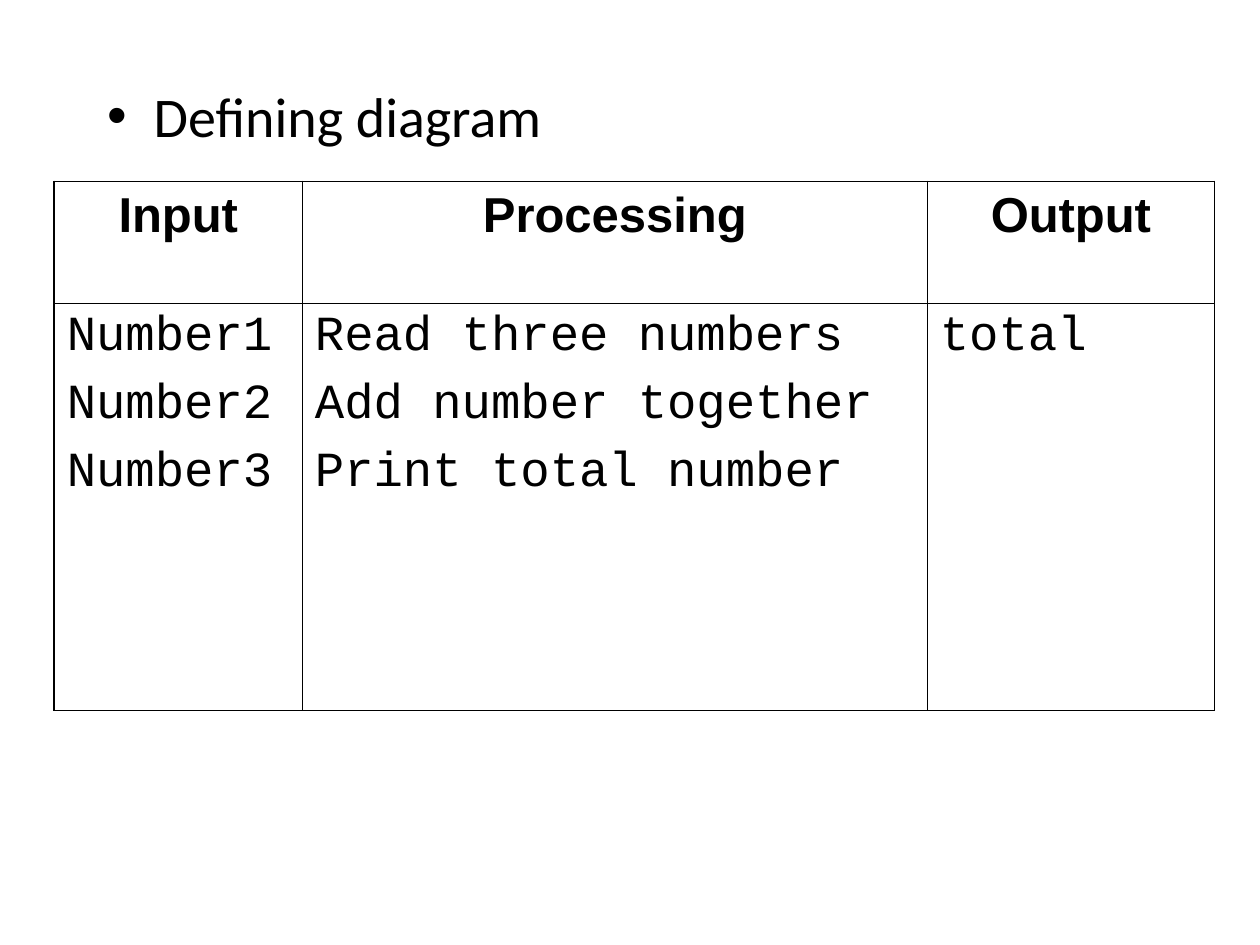
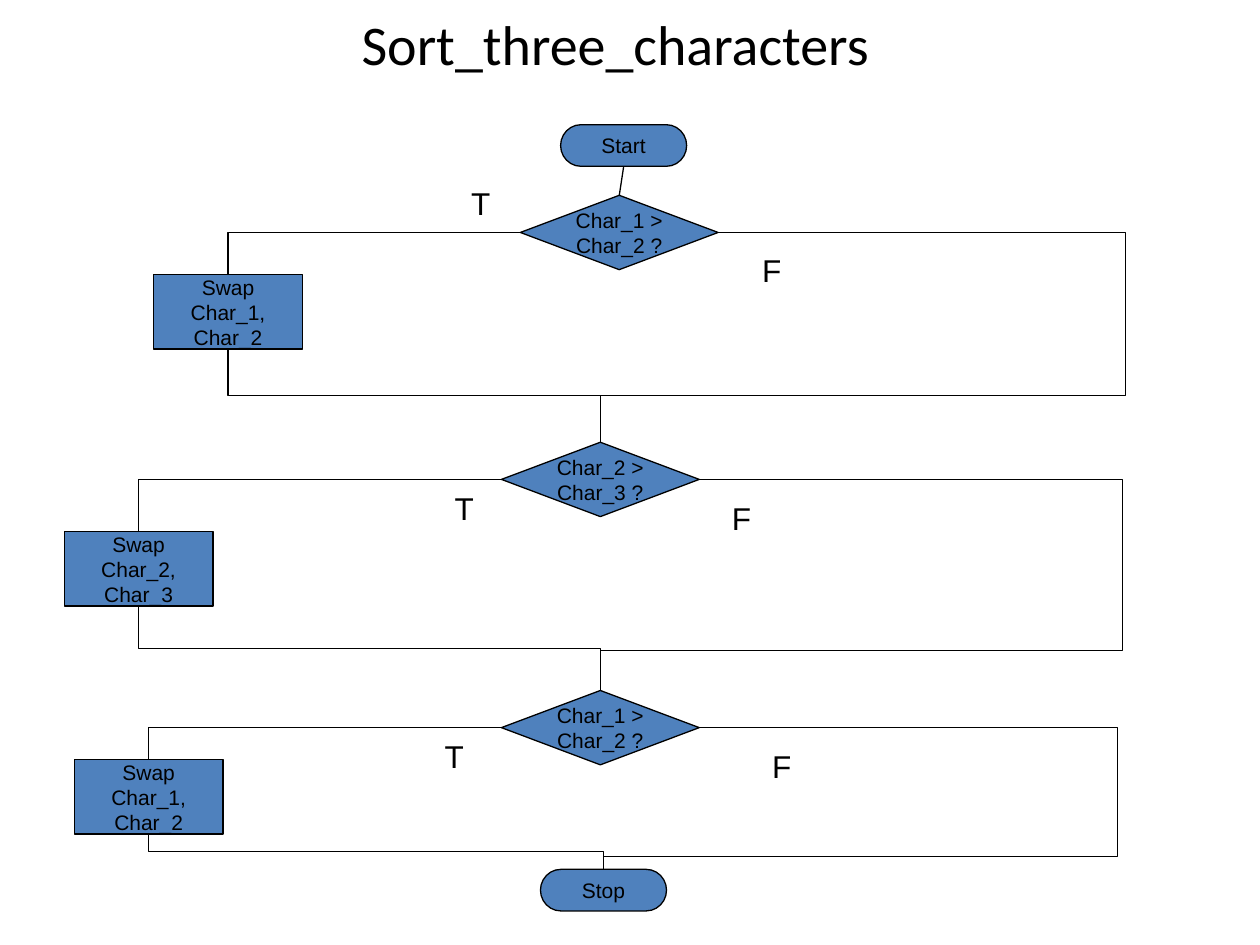
from pptx import Presentation
from pptx.dml.color import RGBColor
from pptx.enum.shapes import MSO_CONNECTOR as Link, MSO_SHAPE as Kind
from pptx.enum.text import MSO_ANCHOR as Anchor, MSO_AUTO_SIZE as Fit, PP_ALIGN as Align
from pptx.oxml.ns import qn
from pptx.util import Inches, Pt
from lxml.etree import SubElement as sub

BLACK, BLUE = "000000", "4F81BD"
HEAD = {"name": "Calibri", "size": Pt(32)}
COLHEAD = {"name": "Arial", "size": Pt(28), "bold": True}
CODE = {"name": "Courier New", "size": Pt(28), "bold": False}
NODE = {"name": "Arial", "size": Pt(12)}
MARK = {"name": "Arial", "size": Pt(18)}
INSET = {"margin_left": Inches(0.1), "margin_right": Inches(0.1),
         "margin_top": Inches(0.05), "margin_bottom": Inches(0.05)}
MIDDLE = {**INSET, "word_wrap": False, "vertical_anchor": Anchor.MIDDLE}

TOPIC = "Defining diagram"
COLS = [
    ("Input", 1.97, ["Number1", "Number2", "Number3"]),
    ("Processing", 4.96,
     ["Read three numbers", "Add number together", "Print total number"]),
    ("Output", 2.28, ["total"]),
]
ROWS = [0.97, 1.7, 0.96, 0.57]
THICK, THIN = 1.08, 0.45

TITLE = "Sort_three_characters"
START = ("Start", 4.45, 0.99)
STOP = ("Stop", 4.29, 6.9)
STEPS = [
    {"pair": ("Char_1", "Char_2"), "test": (4.13, 1.55), "swap": (1.22, 2.18),
     "lane": 8.93, "rise": 0.37, "T": (3.64, 1.41), "F": (5.95, 1.94)},
    {"pair": ("Char_2", "Char_3"), "test": (3.98, 3.51), "swap": (0.51, 4.22),
     "lane": 8.91, "rise": 0.32, "T": (3.51, 3.83), "F": (5.71, 3.91)},
    {"pair": ("Char_1", "Char_2"), "test": (3.98, 5.48), "swap": (0.59, 6.03),
     "lane": 8.87, "rise": 0.1, "T": (3.43, 5.8), "F": (6.03, 5.88)},
]


def rgb(code):
    return RGBColor.from_string(code)


def put(obj, vals):
    for key, val in vals.items():
        setattr(obj, key, val)


def place(shape, *box):
    put(shape, dict(zip(("left", "top", "width", "height"), map(Inches, box))))


def write(frame, lines, font, align=Align.LEFT, gap=0):
    for num, line in enumerate(lines):
        para = frame.add_paragraph() if num else frame.paragraphs[0]
        put(para, {"alignment": align, "space_before": Pt(gap if num else 0)})
        run = para.add_run()
        run.text = line
        put(run.font, font)
        run.font.color.rgb = rgb(BLACK)


def border(cell, widths):
    props = cell._tc.get_or_add_tcPr()
    for spot, (side, width) in enumerate(widths.items()):
        line = props.makeelement(qn("a:ln" + side), {"w": str(Pt(width))})
        props.insert(spot, line)
        if width:
            fill = sub(line, qn("a:solidFill"))
            sub(fill, qn("a:srgbClr"), val=BLACK)
        else:
            sub(line, qn("a:noFill"))


def chart(slide):
    wide = sum(col[1] for col in COLS)
    frame = slide.shapes.add_table(
        len(ROWS), len(COLS), Inches(0.43), Inches(1.44), Inches(wide), Inches(sum(ROWS)))
    table = frame.table
    put(table, {"first_row": False, "horz_banding": False})
    for row, high in zip(table.rows, ROWS):
        row.height = Inches(high)
    last, end = len(ROWS) - 1, len(COLS) - 1
    for c, (head, width, lines) in enumerate(COLS):
        table.columns[c].width = Inches(width)
        for r in range(len(ROWS)):
            cell = table.cell(r, c)
            put(cell, INSET)
            cell.fill.background()
            border(cell, {
                "L": THIN if c else THICK,
                "R": THIN if c < end else THICK,
                "T": (THICK, THIN, 0, 0)[r],
                "B": THIN if r == 0 else THICK if r == last or c == 0 else 0})
        write(table.cell(0, c).text_frame, [head], COLHEAD, Align.CENTER)
        write(table.cell(1, c).text_frame, lines, CODE, gap=7)
    table.cell(1, 0).merge(table.cell(last, 0))


def node(slide, kind, lines, spot, size):
    shape = slide.shapes.add_shape(kind, *map(Inches, (*spot, *size)))
    shape.shadow.inherit = False
    shape.fill.solid()
    shape.fill.fore_color.rgb = rgb(BLUE)
    put(shape.line, {"width": Pt(0.75)})
    shape.line.color.rgb = rgb(BLACK)
    put(shape.text_frame, MIDDLE)
    write(shape.text_frame, lines, NODE, Align.CENTER)
    return shape


def join(slide, kind, a, at, b, to):
    link = slide.shapes.add_connector(kind, 0, 0, 0, 0)
    link.begin_connect(a, at)
    link.end_connect(b, to)
    link.line.width = Pt(0.75)
    link.line.color.rgb = rgb(BLACK)
    sub(link._element.spPr, qn("a:effectLst"))
    return link


def bend(link, preset, turn, flips, adjs=()):
    x, y, w, h = link.left, link.top, link.width, link.height
    if turn % 180:
        x, y, w, h = x + (w - h) // 2, y + (h - w) // 2, h, w
    props = link._element.spPr
    form = props.find(qn("a:xfrm"))
    form.attrib.clear()
    form.set("rot", str(turn * 60000))
    for flip in flips:
        form.set("flip" + flip, "1")
    put(link, {"left": x, "top": y, "width": w, "height": h})
    geom = props.find(qn("a:prstGeom"))
    geom.set("prst", preset)
    for num, adj in enumerate(adjs, 1):
        sub(geom.find(qn("a:avLst")), qn("a:gd"),
            name=f"adj{num}", fmla=f"val {round(adj * 100000)}")


def mark(slide, text, spot):
    box = slide.shapes.add_textbox(*map(Inches, (*spot, 0.35, 0.4)))
    put(box.text_frame, {**INSET, "word_wrap": False, "auto_size": Fit.SHAPE_TO_FIT_TEXT})
    write(box.text_frame, [text], MARK)


def flow(slide):
    def cap(text, x, y):
        return node(slide, Kind.FLOWCHART_TERMINATOR, [text], (x, y), (1, 0.33))

    start, stop = cap(*START), cap(*STOP)
    tests, swaps = [], []
    for step in STEPS:
        one, two = step["pair"]
        tests.append(node(slide, Kind.FLOWCHART_DECISION,
                          [f"{one} >", f"{two} ?"], step["test"], (1.57, 0.59)))
        swaps.append(node(slide, Kind.FLOWCHART_PROCESS,
                          ["Swap", f"{one},", two], step["swap"], (1.18, 0.59)))
    join(slide, Link.STRAIGHT, start, 2, tests[0], 0)
    for step, test, swap, after in zip(STEPS, tests, swaps, tests[1:] + [stop]):
        bend(join(slide, Link.ELBOW, test, 1, swap, 0), "bentConnector2", 180, "V")
        bend(join(slide, Link.ELBOW, swap, 2, after, 0), "bentConnector3", 270, "H", [0.5])
        back = join(slide, Link.ELBOW, after, 0, test, 3)
        rise = Inches(step["rise"]) / back.height
        reach = (Inches(step["lane"]) - back.left) / back.width
        bend(back, "bentConnector4", 90, "HV", [rise, reach])
        for text in "TF":
            mark(slide, text, step[text])


def main():
    deck = Presentation()
    put(deck, {"slide_width": Inches(10), "slide_height": Inches(7.5)})

    first = deck.slides.add_slide(deck.slide_layouts[1])
    title = first.shapes.title._element
    title.getparent().remove(title)
    body = first.placeholders[1]
    place(body, 0.75, 0.6, 8.5, 6.07)
    write(body.text_frame, [TOPIC], HEAD)
    props = body.text_frame.paragraphs[0]._p.get_or_add_pPr()
    props.set("marL", str(Inches(0.37)))
    props.set("indent", str(-Inches(0.37)))
    sub(props, qn("a:buChar"), char="•")
    chart(first)

    second = deck.slides.add_slide(deck.slide_layouts[5])
    head = second.shapes.title
    place(head, 0.51, 0, 8.75, 0.69)
    head.text_frame.vertical_anchor = Anchor.MIDDLE
    write(head.text_frame, [TITLE], HEAD, Align.CENTER)
    flow(second)
    deck.save("out.pptx")


if __name__ == "__main__":
    main()
